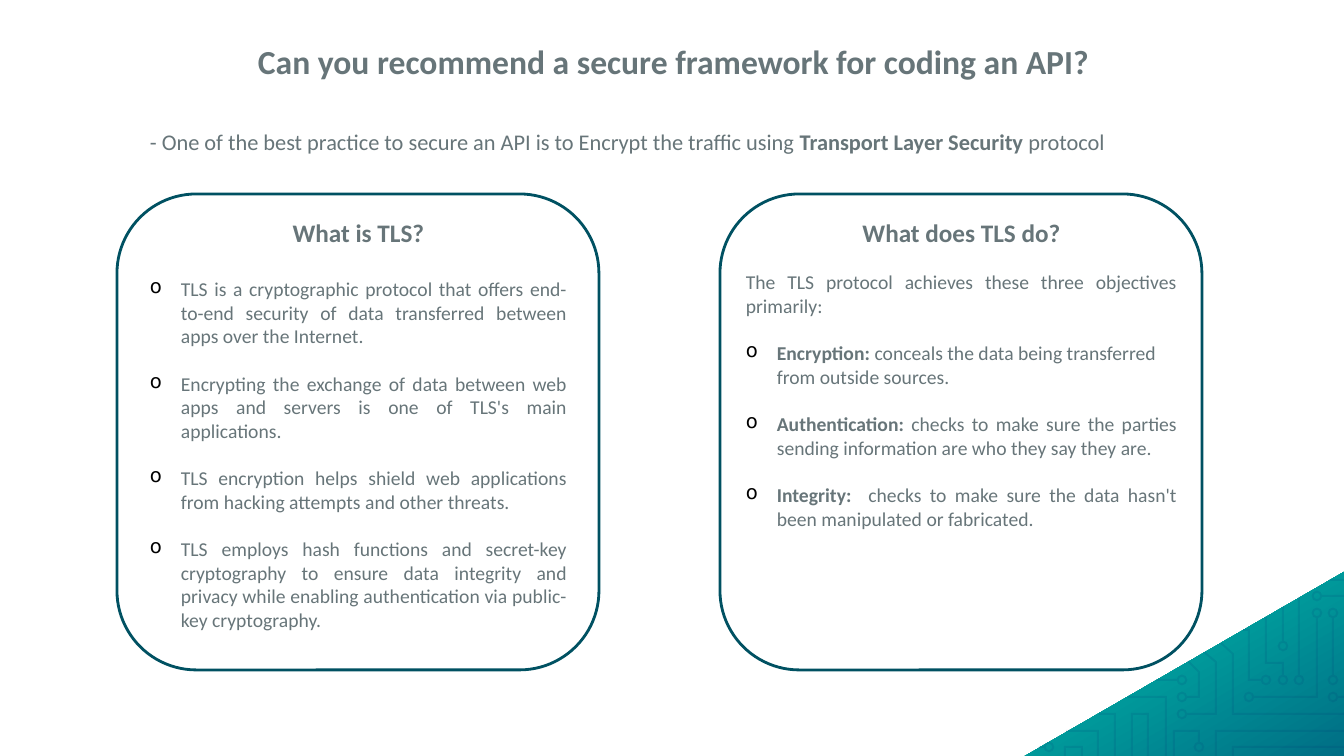
import copy
import math
import pptx
import pptx.dml.color
import pptx.enum.shapes
import pptx.enum.text
import pptx.oxml
import pptx.oxml.ns
import pptx.util
from lxml import etree

PX = 9525 * 20 / 21  # 100.8 px to the inch
FINE = 10  # freeform points are kept to a tenth of a px
GREY, TEAL, NAVY = "677579", "005162", "00226D"
ALIGN = pptx.enum.text.PP_ALIGN

# Circuit traces, each a chain of points in px
TRACES = [
    [(1338, 697), (1344, 697)],
    [(1283, 675), (1283, 663), (1266, 663), (1266, 617)],
    [(1261, 680), (1249, 680), (1249, 630), (1243, 630)],
    [(1283, 641), (1283, 606)],
    [(1233, 756), (1233, 747), (1344, 747)],
    [(1330, 580), (1344, 580)],
    [(1322, 596), (1344, 596)],
    [(1299, 675), (1299, 597)],
    [(1333, 618), (1333, 675)],
    [(1254, 697), (1317, 697), (1317, 618)],
    [(1187, 697), (1199, 697), (1199, 672), (1188, 661)],
    [(1132, 756), (1132, 714), (1148, 714), (1148, 756)],
    [(1128, 697), (1166, 697), (1166, 756)],
    [(1221, 643), (1233, 654), (1233, 714), (1344, 714)],
    [(1199, 742), (1199, 731), (1174, 731), (1174, 756)],
    [(1216, 756), (1216, 731), (1344, 731)],
    [(1187, 714), (1216, 714), (1216, 662), (1204, 652)],
    [(1039, 747), (1044, 747)],
    [(1099, 714), (1115, 714), (1115, 756)],
    [(1156, 680), (1177, 680)],
    [(1065, 756), (1065, 747), (1082, 747), (1082, 756)],
    [(1066, 731), (1098, 731), (1098, 756)],
]
NODES = [
    (1333, 697), (1283, 680), (1266, 680), (1283, 646), (1317, 596),
    (1299, 680), (1333, 680), (1333, 613), (1249, 697), (1317, 613),
    (1182, 697), (1199, 747), (1182, 714), (1049, 747), (1182, 680),
]
WHAT = [
    "TLS is a cryptographic protocol that offers end-to-end security of data "
    "transferred between apps over the Internet.",
    "Encrypting the exchange of data between web apps and servers is one of "
    "TLS's main applications.",
    "TLS encryption helps shield web applications from hacking attempts and "
    "other threats.",
    "TLS employs hash functions and secret-key cryptography to ensure data "
    "integrity and privacy while enabling authentication via public-key "
    "cryptography.",
]
GOALS = [
    ("Encryption: ", "conceals the data being transferred from outside "
     "sources.", ALIGN.LEFT),
    ("Authentication:", " checks to make sure the parties sending "
     "information are who they say they are.", ALIGN.JUSTIFY),
    ("Integrity:", "  checks to make sure the data hasn't been manipulated "
     "or fabricated.", ALIGN.JUSTIFY),
]


def px(n):
    return pptx.util.Emu(round(n * PX))


def rgb(code):
    return pptx.dml.color.RGBColor.from_string(code)


def ribbon(points):
    """Outline a trace as a band two px wide."""
    turns = [math.atan2(b[1] - a[1], b[0] - a[0])
             for a, b in zip(points, points[1:])]
    left, right = [], []
    for (x, y), come, go in zip(points, turns[:1] + turns, turns + turns[-1:]):
        span = 1 + math.cos(go - come)
        dx = -(math.sin(come) + math.sin(go)) / span
        dy = (math.cos(come) + math.cos(go)) / span
        left.append((x + dx, y + dy))
        right.append((x - dx, y - dy))
    return left + right[::-1]


def ring(x, y, radius, way):
    angles = [way * step * math.pi / 4 for step in range(8)]
    return [(x + radius * math.cos(a), y + radius * math.sin(a))
            for a in angles]


def outline(shapes, loops):
    """Build one freeform from closed loops of points in px."""
    loops = [[(x * FINE, y * FINE) for x, y in loop] for loop in loops]
    pen = shapes.build_freeform(*loops[0][0], scale=PX / FINE)
    for loop in loops:
        if loop is not loops[0]:
            pen.move_to(*loop[0])
        pen.add_line_segments(loop[1:], close=True)
    shape = pen.convert_to_shape()
    shape.shadow.inherit = False
    shape.line.fill.background()
    return shape


def corner(shapes):
    shape = outline(shapes, [[(1344, 572), (1025, 756), (1344, 756)]])
    shape.fill.gradient()
    shape.fill.gradient_angle = 300
    first = next(shape.element.iter(pptx.oxml.ns.qn("a:gs")))
    first.addnext(copy.deepcopy(first))
    tones = [(0, "00CCA0"), (0.5, "00989A"), (1, "006E85")]
    for stop, (place, code) in zip(shape.fill.gradient_stops, tones):
        stop.position = place
        stop.color.rgb = rgb(code)


def circuit(shapes):
    loops = [ribbon(points) for points in TRACES]
    for x, y in NODES:
        loops += [ring(x, y, 5.4, 1), ring(x, y, 3.2, -1)]
    shape = outline(shapes, loops)
    shape.fill.solid()
    shape.fill.fore_color.rgb = rgb(NAVY)
    tone = next(shape.element.spPr.iter(pptx.oxml.ns.qn("a:srgbClr")))
    etree.SubElement(tone, pptx.oxml.ns.qn("a:alpha"), val="10000")


def textbox(slide, left, top, width, height):
    box = slide.shapes.add_textbox(px(left), px(top), px(width), px(height))
    box.text_frame.word_wrap = True
    return box.text_frame


def write(para, parts, size, align=ALIGN.LEFT, after=0):
    """Fill a paragraph with (text, bold) parts."""
    para.text = parts[0][0]
    for text, _ in parts[1:]:
        para.add_run().text = text
    for run, (_, bold) in zip(para.runs, parts):
        run.font.name = "Calibri"
        run.font.size = pptx.util.Pt(size)
        run.font.bold = bold
        run.font.color.rgb = rgb(GREY)
    para.alignment = align
    para.space_after = pptx.util.Pt(after)


def bullet(para):
    props = para._p.get_or_add_pPr()
    props.set("marL", str(px(31)))
    props.set("indent", str(px(-31)))
    tone = etree.SubElement(props, pptx.oxml.ns.qn("a:buClr"))
    etree.SubElement(tone, pptx.oxml.ns.qn("a:srgbClr"), val="000000")
    etree.SubElement(props, pptx.oxml.ns.qn("a:buChar"), char="o")


def item(frame, parts, align=ALIGN.JUSTIFY):
    para = frame.add_paragraph()
    write(para, parts, 14, align, 17)
    bullet(para)


def panel(slide, left):
    box = slide.shapes.add_shape(
        pptx.enum.shapes.MSO_SHAPE.ROUNDED_RECTANGLE,
        px(left), px(194), px(482), px(476))
    box.shadow.inherit = False
    box.fill.background()
    box.line.color.rgb = rgb(TEAL)
    box.line.width = pptx.util.Pt(2)


def main():
    deck = pptx.Presentation()
    deck.slide_width, deck.slide_height = px(1344), px(756)
    slide = deck.slides.add_slide(deck.slide_layouts[6])
    group = slide.shapes.add_group_shape()
    corner(group.shapes)
    circuit(group.shapes)

    title = textbox(slide, 126, 39, 1093, 50)
    title.margin_left, title.margin_right = px(2), 0
    title.margin_top = title.margin_bottom = 0
    head = title.paragraphs[0]
    write(head, [("Can you recommend a secure framework for coding an API?",
                  True)], 24, ALIGN.CENTER)
    head.line_spacing = 1.05

    lead = textbox(slide, 140, 123, 1116, 37)
    write(lead.paragraphs[0], [
        ("- One of the best practice to secure an API is to Encrypt the "
         "traffic using ", False),
        ("Transport Layer Security ", True), ("protocol", False)], 16)

    panel(slide, 117)
    what = textbox(slide, 140, 212, 437, 544)
    write(what.paragraphs[0], [("What is TLS?", True)], 18, ALIGN.CENTER, 21.5)
    for text in WHAT:
        item(what, [(text, False)])

    panel(slide, 720)
    does = textbox(slide, 736, 212, 451, 444)
    write(does.paragraphs[0], [("What does TLS do?", True)], 18,
          ALIGN.CENTER, 16.5)
    write(does.add_paragraph(), [
        ("The TLS protocol achieves these three objectives primarily:",
         False)], 14, ALIGN.JUSTIFY, 17)
    for name, text, align in GOALS:
        item(does, [(name, True), (text, False)], align)

    deck.save("out.pptx")


if __name__ == "__main__":
    main()
